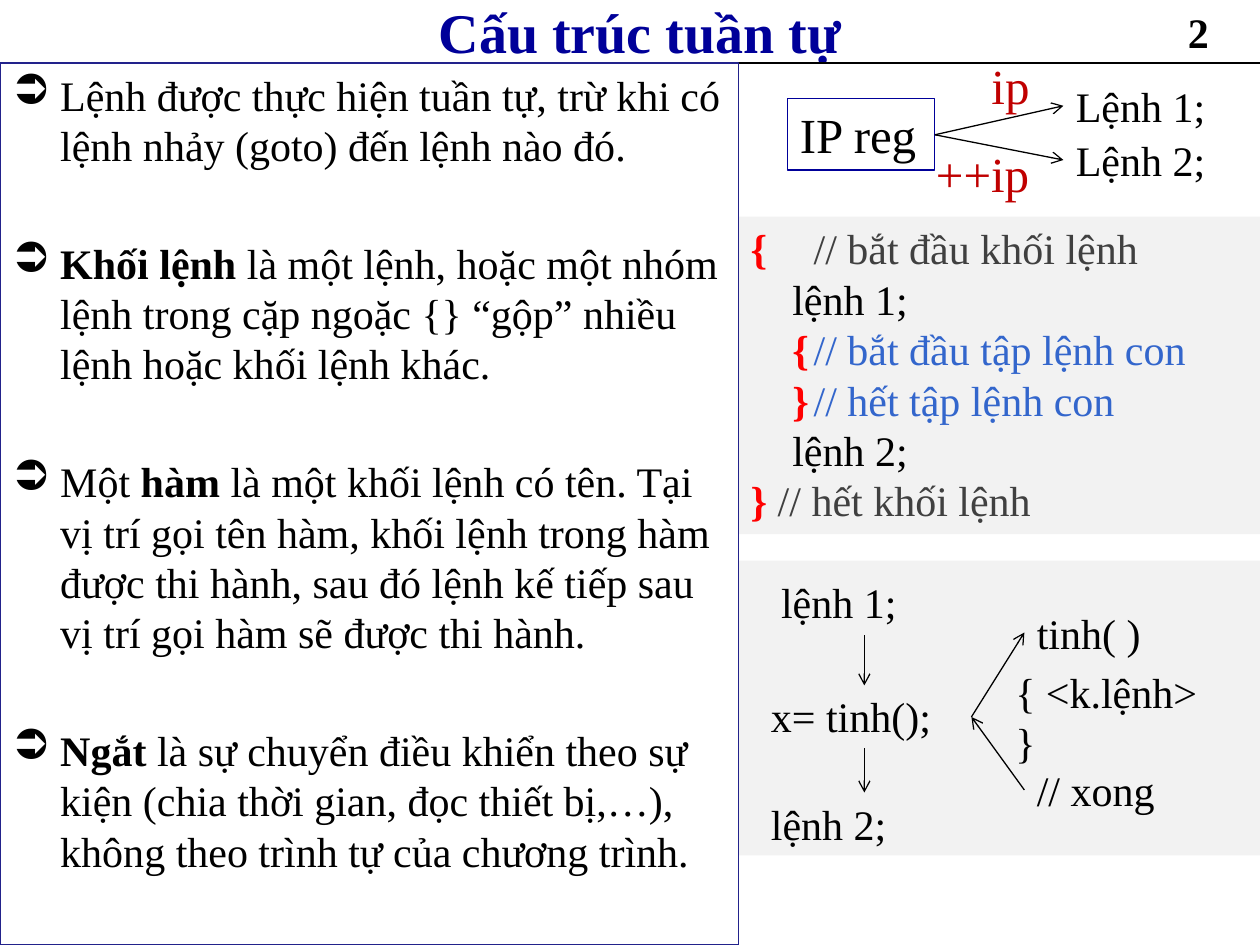
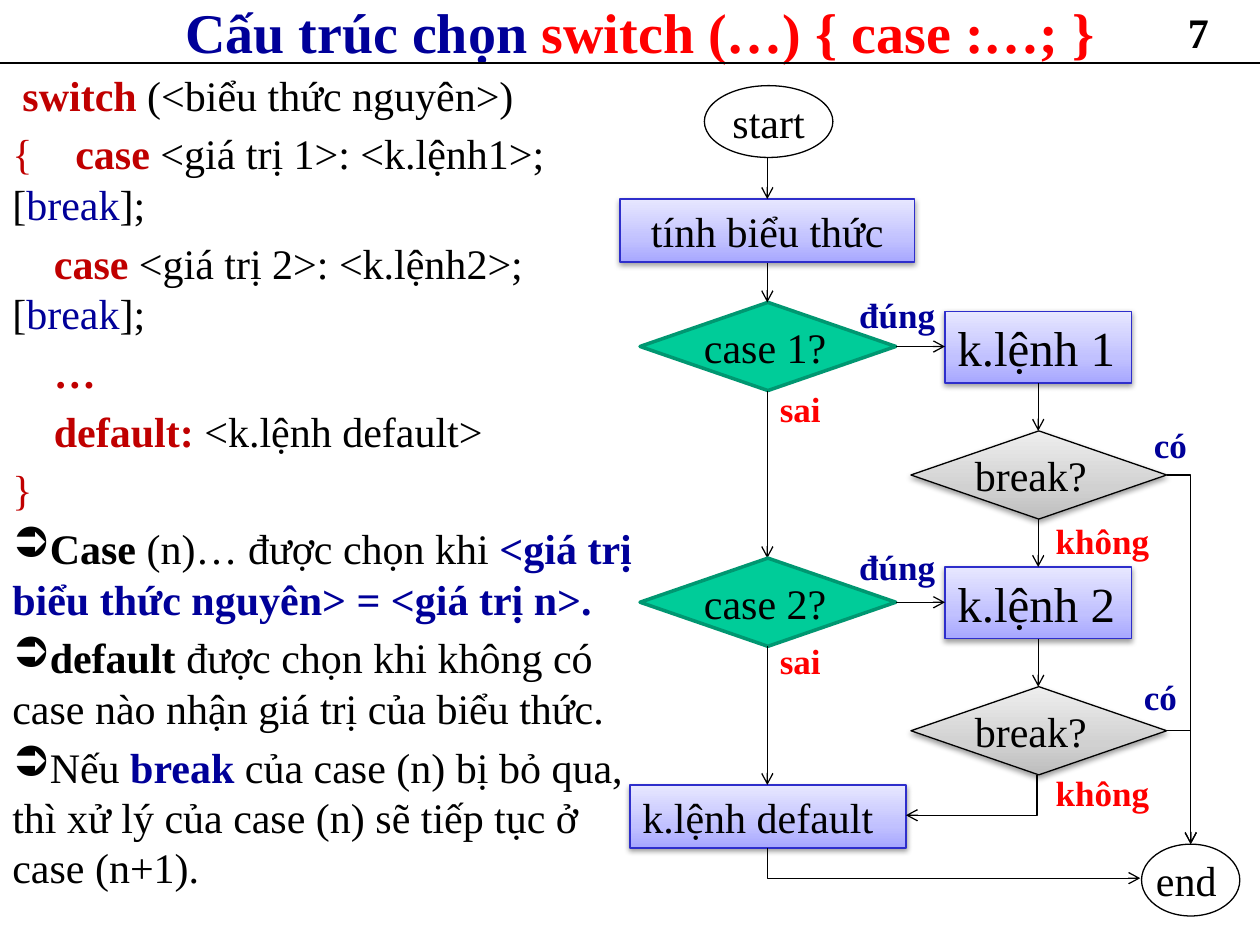
from copy import deepcopy
from dataclasses import dataclass

from lxml.etree import SubElement
from pptx import Presentation
from pptx.dml.color import RGBColor
from pptx.enum.shapes import MSO_CONNECTOR as LINK, MSO_SHAPE as SHAPE
from pptx.enum.text import MSO_ANCHOR as ANCHOR, MSO_AUTO_SIZE as AUTOSIZE, PP_ALIGN as ALIGN
from pptx.oxml.ns import qn
from pptx.util import Pt

SCALE = 9144  # EMU in one px, 100 px to the inch
FONT = "Times New Roman"
COLORS = {
    "black": "000000", "navy": "000099", "red": "FF0000", "crimson": "C00000",
    "comment": "404040", "nested": "3366CC", "panel": "F2F2F2", "frame": "22228B",
    "case": "00CC99", "case_edge": "009771", "step_edge": "2E2ECB",
}
# Gradients run from the bottom edge upwards
STEP_GRADIENT = ("A7A7FF", "C1C1FF", "E7E7FF")
BREAK_GRADIENT = ("BDBDBD", "D1D1D1", "EEEEEE")
GRADIENT_STOPS = (0, 0.35, 1)
ITEM_GAP, TOPIC_GAP = 4.8, 38.4  # points before a paragraph


@dataclass
class Para:
    runs: list  # (text, colour, bold)
    before: float = 0
    bullet: bool = False
    margin: int = 0
    first: int = 0
    tabs: tuple = ()


def px(*lengths):
    return [length * SCALE for length in lengths]


def rgb(name):
    return RGBColor.from_string(COLORS[name])


# Text
def style_run(run, size, color="black", bold=False):
    run.font.name = FONT
    run.font.size = Pt(size)
    run.font.bold = bold
    run.font.color.rgb = rgb(color)


def fill_paragraph(paragraph, para, size, align):
    paragraph.alignment = align
    paragraph.space_before = Pt(para.before)
    props = paragraph._p.get_or_add_pPr()
    props.set("marL", str(para.margin * SCALE))
    props.set("indent", str(para.first * SCALE))
    if para.bullet:
        SubElement(props, qn("a:buChar"), char="➲")
    else:
        SubElement(props, qn("a:buNone"))
    if para.tabs:
        stops = SubElement(props, qn("a:tabLst"))
        for stop in para.tabs:
            SubElement(stops, qn("a:tab"), pos=str(stop * SCALE), algn="l")
    for text, *style in para.runs:
        run = paragraph.add_run()
        run.text = text
        style_run(run, size, *style)


def write(shape, paras, size=24, align=ALIGN.LEFT, anchor=ANCHOR.TOP, right=0):
    frame = shape.text_frame
    frame.word_wrap = True
    frame.auto_size = AUTOSIZE.NONE
    frame.vertical_anchor = anchor
    frame.margin_right = right * SCALE
    for i, para in enumerate(paras):
        paragraph = frame.add_paragraph() if i else frame.paragraphs[0]
        fill_paragraph(paragraph, para, size, align)


def add_text(slide, box, paras, size=24, right=0):
    area = slide.shapes.add_textbox(*px(*box))
    write(area, paras, size, right=right)
    return area


def add_label(slide, box, text, size=24, color="black", bold=False):
    return add_text(slide, box, [Para([(text, color, bold)])], size)


# Shapes
def add_box(slide, kind, box, fill=None, edge=None, width=0.75):
    shape = slide.shapes.add_shape(kind, *px(*box))
    shape.shadow.inherit = False
    if fill:
        shape.fill.solid()
        shape.fill.fore_color.rgb = rgb(fill)
    else:
        shape.fill.background()
    if edge:
        shape.line.color.rgb = rgb(edge)
        shape.line.width = Pt(width)
    else:
        shape.line.fill.background()
    return shape


def add_gradient(shape, gradient):
    shape.fill.gradient()
    shape.fill.gradient_angle = 90
    stops = shape._element.spPr.find(qn("a:gradFill")).find(qn("a:gsLst"))
    stops.insert(1, deepcopy(stops[0]))
    for stop, color, position in zip(shape.fill.gradient_stops, gradient, GRADIENT_STOPS):
        stop.color.rgb = RGBColor.from_string(color)
        stop.position = position


def add_shadow(shape):
    effects = shape._element.spPr.find(qn("a:effectLst"))
    shadow = SubElement(effects, qn("a:outerShdw"), blurRad="40000", dist="20000",
                        dir="5400000", rotWithShape="0")
    color = SubElement(shadow, qn("a:srgbClr"), val=COLORS["black"])
    SubElement(color, qn("a:alpha"), val="38000")


def add_step(slide, box, text, size=24, align=ALIGN.LEFT):
    step = add_box(slide, SHAPE.RECTANGLE, box, edge="step_edge")
    add_gradient(step, STEP_GRADIENT)
    add_shadow(step)
    write(step, [Para([(text,)])], size, align, right=10 if align == ALIGN.CENTER else 0)


def add_node(slide, kind, box, text, align=ALIGN.LEFT, **look):
    """Flowchart node whose text fills the inner area without margins."""
    node = add_box(slide, kind, box, **look)
    frame = node.text_frame
    frame.margin_left = frame.margin_top = frame.margin_bottom = 0
    write(node, [Para([(text,)])], align=align, anchor=ANCHOR.MIDDLE)
    return node


# Lines and arrows
def add_line(slide, start, end, arrow=True, kind=LINK.STRAIGHT):
    line = slide.shapes.add_connector(kind, *px(*start, *end))
    line.line.color.rgb = rgb("black")
    line.line.width = Pt(0.75)
    if arrow:
        SubElement(line.line._get_or_add_ln(), qn("a:tailEnd"), type="arrow")
    SubElement(line._element.spPr, qn("a:effectLst"))
    return line


def add_elbow(slide, start, end, down_first=False):
    """One-corner arrow; a turned frame makes it leave downwards."""
    turn = 0
    if down_first:
        (x1, y1), (x2, y2) = start, end
        mid_x, mid_y = (x1 + x2) // 2, (y1 + y2) // 2
        half_w, half_h = (y2 - y1) // 2, abs(x2 - x1) // 2
        turn, side = (270, -1) if x2 > x1 else (90, 1)
        start = mid_x - side * half_w, mid_y - half_h
        end = mid_x + side * half_w, mid_y + half_h
    elbow = add_line(slide, start, end, kind=LINK.ELBOW)
    props = elbow._element.spPr
    props.find(qn("a:prstGeom")).set("prst", "bentConnector2")
    if turn:
        props.find(qn("a:xfrm")).set("rot", str(turn * 60000))


# Shared slide frame
def add_slide(deck, number, title_runs):
    slide = deck.slides.add_slide(deck.slide_layouts[5])
    add_line(slide, (0, 50), (1000, 50), arrow=False)
    title = slide.shapes.title
    title.left, title.top, title.width, title.height = px(83, 0, 850, 50)
    write(title, [Para(title_runs)], 32, ALIGN.CENTER, ANCHOR.MIDDLE, right=10)
    add_label(slide, (933, 0, 67, 50), number, bold=True)
    return slide


# Slide: sequence structure
def add_topics(slide):
    topics = [
        [("Lệnh được thực hiện tuần tự, trừ khi có lệnh nhảy (goto) đến lệnh nào đó.",)],
        [("Khối lệnh ", "black", True),
         ("là một lệnh, hoặc một nhóm lệnh trong cặp ngoặc {} “gộp” nhiều lệnh "
          "hoặc khối lệnh khác.",)],
        [("Một ",), ("hàm ", "black", True),
         ("là một khối lệnh có tên. Tại vị trí gọi tên hàm, khối lệnh trong hàm được "
          "thi hành, sau đó lệnh kế tiếp sau vị trí gọi hàm sẽ được thi hành.",)],
        [("Ngắt ", "black", True),
         ("là sự chuyển điều khiển theo sự kiện (chia thời gian, đọc thiết bị,…), "
          "không theo trình tự của chương trình.",)],
    ]
    paras = [Para(runs, TOPIC_GAP, True, 38, -38) for runs in topics]
    body = add_text(slide, (0, 50, 586, 700), paras, right=10)
    body.line.color.rgb = rgb("frame")
    body.line.width = Pt(0.75)


def add_code_block(slide):
    code = add_box(slide, SHAPE.RECTANGLE, (586, 172, 414, 252), "panel")
    rows = [
        (0, [("{\t", "red", True), ("// bắt đầu khối lệnh", "comment")]),
        (33, [("lệnh 1;",)]),
        (33, [("{\t", "red", True), ("// bắt đầu tập lệnh con", "nested")]),
        (33, [("}\t", "red", True), ("// hết tập lệnh con", "nested")]),
        (33, [("lệnh 2;",)]),
        (0, [("} ", "red", True), ("// hết khối lệnh", "comment")]),
    ]
    write(code, [Para(runs, first=indent, tabs=(30, 63)) for indent, runs in rows])


def add_pointer_diagram(slide):
    register = add_box(slide, SHAPE.RECTANGLE, (625, 78, 117, 57), edge="navy")
    write(register, [Para([("IP reg",)])], 28)
    for text, top, tip in (("Lệnh 1;", 59, 84), ("Lệnh 2;", 102, 127)):
        add_label(slide, (844, top, 124, 50), text)
        add_line(slide, (742, 107), (844, tip))
    add_label(slide, (733, 109, 95, 57), "++ip", 28, "crimson")
    add_label(slide, (777, 39, 51, 57), "ip", 28, "crimson")


def add_call_diagram(slide):
    add_box(slide, SHAPE.RECTANGLE, (586, 445, 414, 234), "panel")
    for text, left, top in (("lệnh 1;", 610, 453), ("x= tinh();", 602, 543),
                            ("lệnh 2;", 602, 629), ("tinh( )", 813, 477),
                            ("// xong", 813, 602)):
        add_label(slide, (left, top, 169, 51), text)
    add_text(slide, (796, 524, 203, 91), [Para([("{ <k.lệnh>",)]), Para([("}",)])])
    for start, end in (((771, 569), (813, 502)), ((813, 627), (771, 569)),
                       ((686, 504), (686, 544)), ((686, 594), (686, 629))):
        add_line(slide, start, end)


# Slide: switch structure
def add_switch_text(slide):
    def case(number):
        return [("case", "crimson", True), (f" <giá trị {number}>: <k.lệnh{number}>; [",),
                ("break", "navy"), ("];",)]

    syntax = [
        (8, [("switch ", "crimson", True), ("(<biểu thức nguyên>)",)]),
        (0, [("{\t", "crimson")] + case(1)),
        (33, case(2)),
        (33, [("…", "crimson", True)]),
        (33, [("default: ", "crimson", True), ("<k.lệnh default>",)]),
        (0, [("}", "crimson")]),
    ]
    rules = [
        [("Case", "black", True), (" (n)… được chọn khi ",),
         ("<giá trị biểu thức nguyên> = <giá trị n>.", "navy", True)],
        [("default ", "black", True),
         ("được chọn khi không có case nào nhận giá trị của biểu thức.",)],
        [("Nếu ",), ("break ", "navy", True),
         ("của case (n) bị bỏ qua, thì xử lý của case (n) sẽ tiếp tục ở case (n+1).",)],
    ]
    paras = [Para(runs, ITEM_GAP, first=indent, tabs=(33,)) for indent, runs in syntax]
    paras += [Para(runs, ITEM_GAP, True) for runs in rules]
    add_text(slide, (0, 50, 516, 700), paras, right=10)


def add_case(slide, number, main_x, side_x):
    drop = 203 * (number - 1)
    add_node(slide, SHAPE.FLOWCHART_DECISION, (508, 240 + drop, 203, 70),
             f"case {number}?", fill="case", edge="case_edge", width=2)
    add_step(slide, (750, 247 + drop, 148, 57), f"k.lệnh {number}", 28)
    check = add_node(slide, SHAPE.FLOWCHART_DECISION, (723, 342 + drop, 203, 70),
                     "break?", edge="black")
    add_gradient(check, BREAK_GRADIENT)
    add_shadow(check)
    add_line(slide, (711, 275 + drop), (750, 275 + drop))
    add_line(slide, (side_x, 304 + drop), (side_x, 342 + drop))
    add_line(slide, (main_x, 310 + drop), (main_x, (443, 623)[number - 1]))
    add_elbow(slide, (926, 377 + drop), (945, 670))
    # Branch labels
    label_drop = 200 * (number - 1)
    for text, left, top, color in (("đúng", 672, 228, "navy"),
                                   ("có", (906, 898)[number - 1], 331, "navy"),
                                   ("sai", 609, 303, "red"),
                                   ("không", 828, 407, "red")):
        add_label(slide, (left, top + label_drop, 95, 44), text, 20, color, True)


def add_flowchart(slide):
    main_x, side_x = 609, 824
    add_node(slide, SHAPE.OVAL, (559, 68, 102, 57), "start", ALIGN.CENTER, edge="black")
    add_step(slide, (492, 158, 234, 50), "tính biểu thức", align=ALIGN.CENTER)
    add_step(slide, (500, 623, 219, 50), "k.lệnh default")
    add_node(slide, SHAPE.OVAL, (906, 670, 78, 57), "end", edge="black")
    for number in (1, 2):
        add_case(slide, number, main_x, side_x)
    for x, top, bottom in ((main_x, 125, 158), (main_x, 209, 240), (side_x, 412, 450)):
        add_line(slide, (x, top), (x, bottom))
    add_elbow(slide, (side_x, 615), (719, 648), down_first=True)
    add_elbow(slide, (main_x, 673), (906, 698), down_first=True)


def main():
    deck = Presentation()
    deck.slide_width, deck.slide_height = px(1000, 750)

    sequence = add_slide(deck, "2", [("Cấu trúc tuần tự", "navy", True)])
    add_code_block(sequence)
    add_pointer_diagram(sequence)
    add_call_diagram(sequence)
    add_topics(sequence)

    switch = add_slide(deck, "7", [("Cấu trúc chọn ", "navy", True),
                                   ("switch (…) { case :…; }", "red", True)])
    add_switch_text(switch)
    add_flowchart(switch)

    deck.save("out.pptx")


if __name__ == "__main__":
    main()
